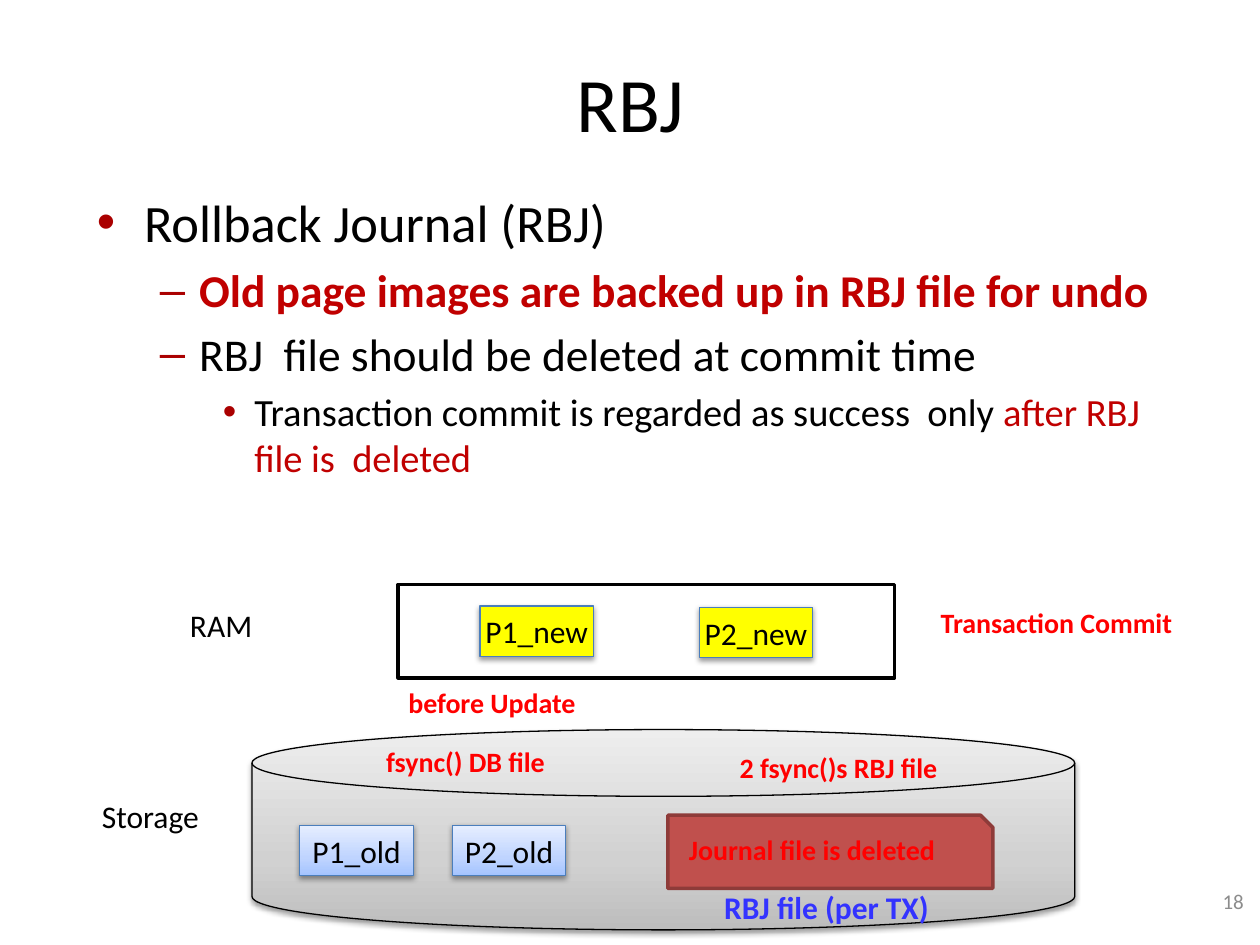
from dataclasses import dataclass
from typing import Any

import pptx
import pptx.dml.color
import pptx.enum.shapes
import pptx.enum.text
import pptx.oxml
import pptx.oxml.ns
import pptx.util

Pt = pptx.util.Pt
SHAPE = pptx.enum.shapes.MSO_SHAPE
ALIGN = pptx.enum.text.PP_ALIGN
ANCHOR = pptx.enum.text.MSO_ANCHOR
NAMESPACE = pptx.oxml.ns.nsdecls("a")
FONT = "Calibri"

COLORS = {
    "black": "000000",
    "white": "FFFFFF",
    "bullet": "AA0000",
    "crimson": "C00000",
    "red": "FF0000",
    "blue": "3333FF",
    "gray": "8C8C8C",
    "yellow": "FFFF00",
    "page_edge": "4B7EBC",
    "journal": "C0504D",
    "journal_edge": "8E3B39",
}
GRADIENTS = {
    "steel": {0: "BDBDBD", 35: "D1D1D1", 100: "EEEEEE"},
    "sky": {0: "A4C4FF", 35: "BFD4FF", 100: "E6EEFF"},
}


@dataclass
class Area:
    left: float
    top: float
    width: float
    height: float

    def lengths(self) -> list[int]:
        return [Pt(value) for value in (self.left, self.top, self.width, self.height)]


@dataclass
class Span:
    text: str
    size: float
    color: str = "black"
    bold: bool = False


@dataclass
class Label:
    span: Span
    area: Area
    align: Any = ALIGN.LEFT
    wrap: bool = False
    anchor: Any = ANCHOR.TOP


@dataclass
class Block:
    kind: Any
    area: Area
    fill: str
    edge: str = "black"
    weight: float = 0.75
    shadow: bool = True
    text: str = ""


@dataclass
class Bullet:
    spans: list[Span]
    level: int
    mark: str
    margin: float
    hanging: float
    before: float


def apply(target: Any, values: dict[str, Any]) -> None:
    for name, value in values.items():
        setattr(target, name, value)


def rgb(name: str) -> pptx.dml.color.RGBColor:
    return pptx.dml.color.RGBColor.from_string(COLORS[name])


def add_span(para: Any, span: Span) -> None:
    run = para.add_run()
    run.text = span.text
    apply(run.font, {"name": FONT, "size": Pt(span.size), "bold": span.bold})
    run.font.color.rgb = rgb(span.color)


def add_label(page: Any, label: Label) -> None:
    box = page.shapes.add_textbox(*label.area.lengths())
    apply(box.text_frame, {"word_wrap": label.wrap, "vertical_anchor": label.anchor})
    para = box.text_frame.paragraphs[0]
    para.alignment = label.align
    add_span(para, label.span)


def add_bullets(page: Any, area: Area, bullets: list[Bullet]) -> None:
    box = page.shapes.add_textbox(*area.lengths())
    frame = box.text_frame
    frame.word_wrap = True
    for index, bullet in enumerate(bullets):
        para = frame.add_paragraph() if index else frame.paragraphs[0]
        apply(para, {"level": bullet.level, "space_before": Pt(bullet.before)})
        properties = para._p.get_or_add_pPr()
        properties.set("marL", str(Pt(bullet.margin)))
        properties.set("indent", str(-Pt(bullet.hanging)))
        for xml in (
            f'<a:buClr {NAMESPACE}><a:srgbClr val="{COLORS["bullet"]}"/></a:buClr>',
            f'<a:buFont {NAMESPACE} typeface="Arial"/>',
            f'<a:buChar {NAMESPACE} char="{bullet.mark}"/>',
        ):
            properties.append(pptx.oxml.parse_xml(xml))
        for span in bullet.spans:
            add_span(para, span)


def set_fill(shape: Any, name: str) -> None:
    if name not in GRADIENTS:
        shape.fill.solid()
        shape.fill.fore_color.rgb = rgb(name)
        return
    shape.fill.gradient()
    shape.fill.gradient_angle = 90
    stops = next(shape._element.spPr.iter(pptx.oxml.ns.qn("a:gsLst")))
    for stop in list(stops):
        stops.remove(stop)
    for position, color in GRADIENTS[name].items():
        stops.append(pptx.oxml.parse_xml(
            f'<a:gs {NAMESPACE} pos="{position * 1000}"><a:srgbClr val="{color}"/></a:gs>'))


def add_shadow(shape: Any) -> None:
    effects = shape._element.spPr.find(pptx.oxml.ns.qn("a:effectLst"))
    effects.append(pptx.oxml.parse_xml(
        f'<a:outerShdw {NAMESPACE} blurRad="{Pt(3.1)}" dist="{Pt(1.6)}" dir="5400000" '
        f'rotWithShape="0"><a:srgbClr val="{COLORS["black"]}"><a:alpha val="38000"/>'
        "</a:srgbClr></a:outerShdw>"))


def add_block(page: Any, block: Block) -> None:
    shape = page.shapes.add_shape(block.kind, *block.area.lengths())
    set_fill(shape, block.fill)
    shape.line.color.rgb = rgb(block.edge)
    shape.line.width = Pt(block.weight)
    shape.shadow.inherit = False
    if block.shadow:
        add_shadow(shape)
    if block.text:
        apply(shape.text_frame, {"word_wrap": False, "vertical_anchor": ANCHOR.MIDDLE})
        para = shape.text_frame.paragraphs[0]
        para.alignment = ALIGN.CENTER
        add_span(para, Span(block.text, 18))


def database_page(text: str, left: float, top: float, fill: str) -> Block:
    return Block(SHAPE.RECTANGLE, Area(left, top, 64.8, 28.8), fill, "page_edge", text=text)


def event(text: str, left: float, top: float) -> Label:
    return Label(Span(text, 16, "red", True), Area(left, top, 160.56, 26.64), ALIGN.CENTER, True)


TITLE = Label(Span("RBJ", 44), Area(48.24, 21.6, 624.24, 73.44), ALIGN.CENTER, True, ANCHOR.MIDDLE)
NUMBER = Label(Span("18", 12, "gray"), Area(550.08, 500.4, 167.76, 28.8), ALIGN.RIGHT, True, ANCHOR.MIDDLE)
BULLETS = [
    Bullet([Span("Rollback Journal (RBJ)", 30)], 0, "•", 27, 27, 20),
    Bullet([Span("Old page images are backed up in RBJ file for undo", 26, "crimson", True)],
           1, "–", 58.5, 22.5, 5.2),
    Bullet([Span("RBJ  file should be deleted at commit time", 26)], 1, "–", 58.5, 22.5, 5.2),
    Bullet([Span("Transaction commit is regarded as success  only ", 22),
            Span("after RBJ file is  deleted", 22, "crimson")], 2, "•", 90, 18, 4.4),
]
BLOCKS = [
    Block(SHAPE.FLOWCHART_MAGNETIC_DISK, Area(144, 416.88, 470.16, 114.48), "steel"),
    database_page("P1_old", 171.36, 471.6, "sky"),
    database_page("P2_old", 258.48, 471.6, "sky"),
    Block(SHAPE.RECTANGLE, Area(227.52, 334.08, 283.68, 53.28), "white", weight=2, shadow=False),
    Block(SHAPE.SNIP_1_RECTANGLE, Area(381.6, 465.84, 185.76, 41.76), "journal", "journal_edge", 2, False),
    database_page("P1_new", 274.32, 346.32, "yellow"),
    database_page("P2_new", 399.6, 347.04, "yellow"),
]
LABELS = [
    Label(Span("RAM", 18), Area(101.52, 342.72, 50.4, 28.8)),
    Label(Span("Storage", 18), Area(51.12, 452.16, 70.56, 28.8)),
    Label(Span("RBJ file (per TX)", 18, "blue", True), Area(406.08, 504, 132.48, 28.8), ALIGN.CENTER),
    event("before Update", 200.88, 388.08),
    event("Transaction Commit", 523.44, 342.72),
    event("2 fsync()s RBJ file", 398.88, 425.52),
    event("fsync() DB file", 185.76, 421.92),
    event("Journal file is deleted", 383.76, 472.32),
]


def main() -> None:
    deck = pptx.Presentation()
    apply(deck, {"slide_width": Pt(720), "slide_height": Pt(540)})
    page = deck.slides.add_slide(deck.slide_layouts[6])
    add_label(page, TITLE)
    add_bullets(page, Area(48.24, 105.12, 624.24, 228.96), BULLETS)
    add_label(page, NUMBER)
    for block in BLOCKS:
        add_block(page, block)
    for label in LABELS:
        add_label(page, label)
    deck.save("out.pptx")


if __name__ == "__main__":
    main()
